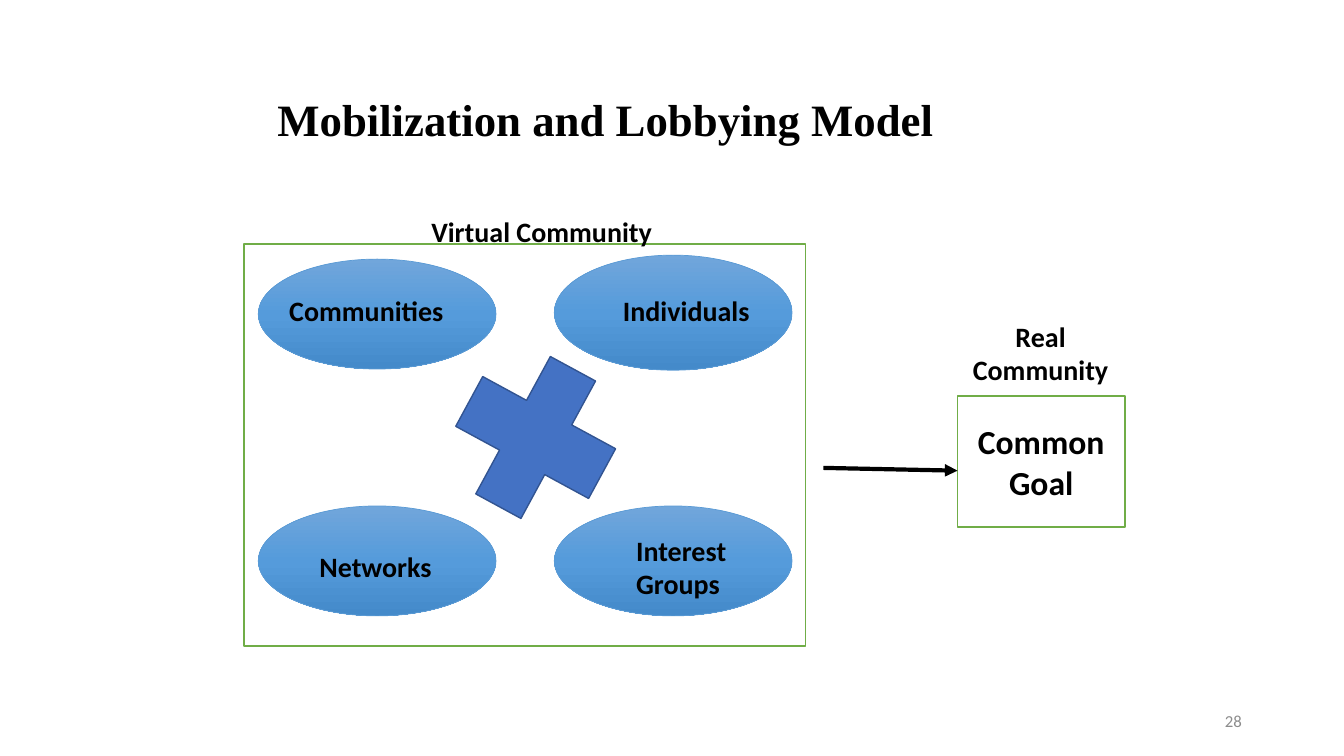
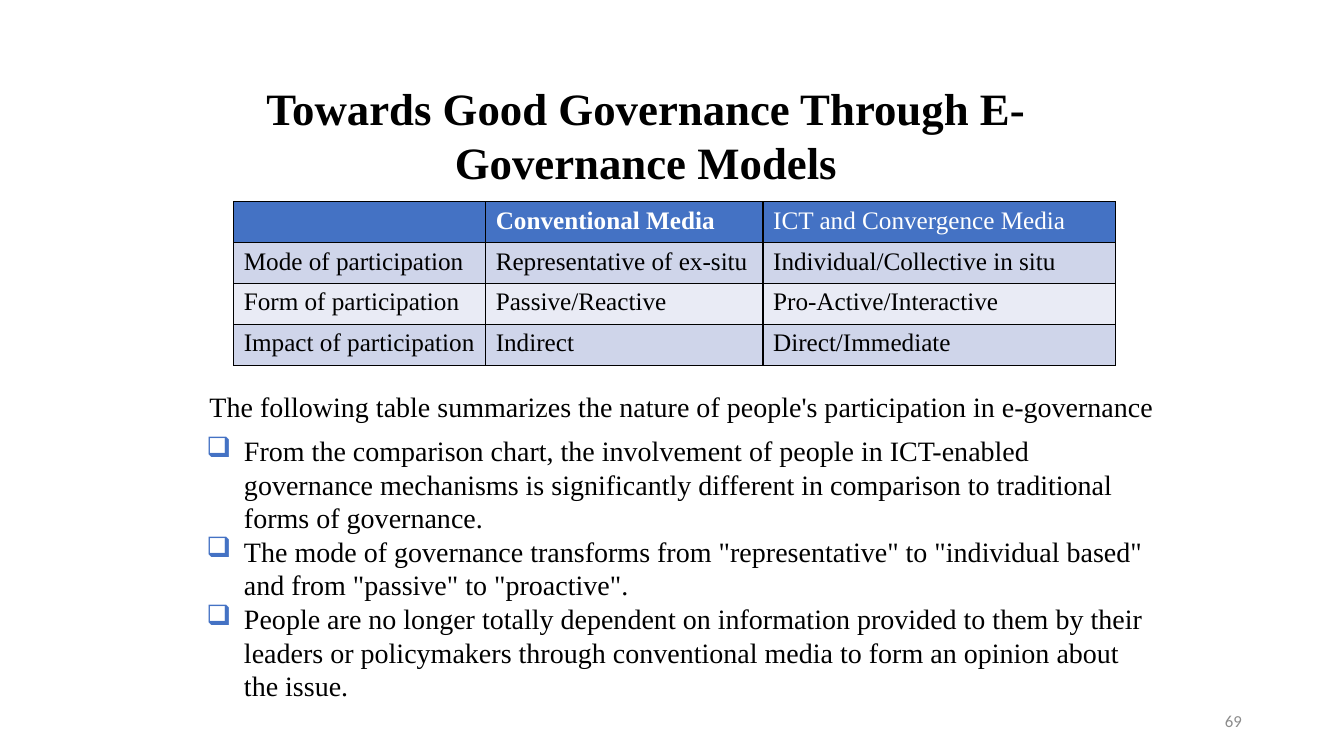
from copy import deepcopy

from lxml import etree
from pptx import Presentation
from pptx import util as u
from pptx.dml.color import RGBColor
from pptx.enum import shapes, text
from pptx.oxml import ns

COLORS = {
    "ink": "000000", "paper": "FFFFFF", "number": "8C8C8C",
    "accent": "4472C4", "accent_edge": "325491", "green": "70AD47",
    "oval_top": "71A6DB", "oval_mid": "559BDB", "oval_low": "448ACA",
    "oval_edge": "5B9BD5", "band_dark": "CFD5EA", "band_light": "E9EBF5",
}
SERIF, SANS = "Times New Roman", "Calibri"
CENTER, LEFT, RIGHT = text.PP_ALIGN.CENTER, text.PP_ALIGN.LEFT, text.PP_ALIGN.RIGHT
SHAPE = shapes.MSO_SHAPE


def rgb(name):
    return RGBColor.from_string(COLORS[name])


def lengths(*values):
    return [u.Cm(value) for value in values]


def child(parent, tag, **attributes):
    return etree.SubElement(parent, ns.qn(tag), attributes)


def style(paragraph, size, face=SANS, bold=False, color="ink", align=LEFT):
    paragraph.alignment = align
    font = paragraph.font
    font.name, font.size, font.bold = face, u.Pt(size), bold
    font.color.rgb = rgb(color)


def add_text(slide, box, words, size, anchor=text.MSO_ANCHOR.TOP, **look):
    frame = slide.shapes.add_textbox(*lengths(*box)).text_frame
    frame.word_wrap = True
    frame.vertical_anchor = anchor
    frame.text = words
    style(frame.paragraphs[0], size, **look)
    return frame


def add_label(slide, box, words, align=LEFT):
    add_text(slide, box, words, 20, bold=True, align=align)


def add_figure(slide, kind, box, fill, edge, weight=1):
    figure = slide.shapes.add_shape(kind, *lengths(*box))
    figure.shadow.inherit = False
    if fill:
        figure.fill.solid()
        figure.fill.fore_color.rgb = rgb(fill)
    figure.line.color.rgb = rgb(edge)
    figure.line.width = u.Pt(weight)
    return figure


def add_oval(slide, box):
    oval = add_figure(slide, SHAPE.OVAL, box, None, "oval_edge", 0.5)
    oval.fill.gradient()
    oval.fill.gradient_angle = 270
    stops = oval._element.spPr.find(".//" + ns.qn("a:gsLst"))
    stops.append(deepcopy(stops[0]))
    shades = ("oval_top", "oval_mid", "oval_low")
    for stop, shade, position in zip(oval.fill.gradient_stops, shades, (0, 0.5, 1)):
        stop.color.rgb = rgb(shade)
        stop.position = position


def add_arrow(slide, start, end):
    arrow = slide.shapes.add_connector(
        shapes.MSO_CONNECTOR.STRAIGHT, *lengths(*start, *end))
    arrow.line.color.rgb = rgb("ink")
    arrow.line.width = u.Pt(3)
    child(arrow.line._get_or_add_ln(), "a:tailEnd", type="triangle")
    child(arrow._element.spPr, "a:effectLst")


def new_slide(deck, title, title_box, number):
    slide = deck.slides.add_slide(deck.slide_layouts[6])
    add_text(slide, (23.93, 17.65, 7.62, 1.03), number, 12,
             anchor=text.MSO_ANCHOR.MIDDLE, color="number", align=RIGHT)
    heading = add_text(slide, title_box, title, 32, face=SERIF, bold=True, align=CENTER)
    return slide, heading.paragraphs[0]


def virtual_community(slide, left, top, width, height):
    add_figure(slide, SHAPE.RECTANGLE, (left, top, width, height), "paper", "green")
    members = [
        ("Communities", (0.36, 0.38, 2.77), (0.89, 1.12)),
        ("Interest Groups", (7.82, 6.6, 2.77), (9.63, 7.16)),
        ("Networks", (0.36, 6.6, 2.77), (1.65, 7.57)),
        ("Individuals", (7.82, 0.28, 2.9), (9.3, 1.12)),
    ]
    for _, (x, y, tall), _ in members:
        add_oval(slide, (left + x, top + y, 5.99, tall))
    cross = add_figure(slide, SHAPE.CROSS, (left + 5.38, top + 2.97, 3.94, 3.81),
                       "accent", "accent_edge")
    cross.adjustments[0] = 0.33
    cross.rotation = 298.5
    for name, _, (x, y) in members:
        label_width = 3.84 if " " in name else 4.5
        add_label(slide, (left + x, top + y, label_width, 1.12), name)
    add_label(slide, (left + 4.47, top - 0.86, 6.3, 1.12), "Virtual Community")


def real_community(slide, left, top, width, height):
    goal = add_figure(slide, SHAPE.RECTANGLE, (left, top, width, height), "paper", "green")
    goal.text_frame.word_wrap = True
    goal.text_frame.vertical_anchor = text.MSO_ANCHOR.MIDDLE
    goal.text_frame.text = "Common Goal"
    style(goal.text_frame.paragraphs[0], 24, bold=True, align=CENTER)
    add_arrow(slide, (left - 3.38, top + 1.81), (left, top + 1.88))
    add_label(slide, (left - 0.46, top - 2.06, 5.11, 1.96), "Real\vCommunity", CENTER)


def border(cell):
    properties = cell._tc.get_or_add_tcPr()
    for position, side in enumerate(("a:lnL", "a:lnR", "a:lnT", "a:lnB")):
        edge = etree.Element(ns.qn(side), w=str(u.Pt(1)))
        child(child(edge, "a:solidFill"), "a:srgbClr", val=COLORS["ink"])
        properties.insert(position, edge)


def participation_table(slide, left, top):
    rows = [
        ("", "Conventional Media", "ICT and Convergence Media"),
        ("Mode of participation", "Representative of ex-situ",
         "Individual/Collective in situ"),
        ("Form of participation", "Passive/Reactive", "Pro-Active/Interactive"),
        ("Impact of participation", "Indirect", "Direct/Immediate"),
    ]
    widths, row_height = (6.35, 6.99, 8.89), 1.03
    table = slide.shapes.add_table(
        len(rows), len(widths),
        *lengths(left, top, sum(widths), row_height * len(rows))).table
    for column, width in zip(table.columns, widths):
        column.width = u.Cm(width)
    fills = ("accent", "band_dark", "band_light", "band_dark")
    for r, (row, fill) in enumerate(zip(rows, fills)):
        for c, words in enumerate(row):
            cell = table.cell(r, c)
            cell.text = words
            style(cell.text_frame.paragraphs[0], 18, face=SERIF,
                  bold=(r == 0 and c == 1), color="ink" if r else "paper")
            cell.fill.solid()
            cell.fill.fore_color.rgb = rgb(fill)
            border(cell)


def findings(slide, left, top, width):
    add_text(slide, (left + 0.08, top, width + 0.53, 1.12),
             "The following table summarizes the nature of people's participation "
             "in e-governance", 20, face=SERIF)
    points = [
        "From the comparison chart, the involvement of people in ICT-enabled governance "
        "mechanisms is significantly different in comparison to traditional forms of "
        "governance.",
        'The mode of governance transforms from "representative" to "individual based" '
        'and from "passive" to "proactive".',
        "People are no longer totally dependent on information provided to them by their "
        "leaders or policymakers through conventional media to form an opinion about "
        "the issue.",
    ]
    frame = add_text(slide, (left, top + 1.12, width, 7.09), "\n".join(points), 20)
    hanging = u.Cm(0.95)
    for paragraph in frame.paragraphs:
        properties = paragraph._p.get_or_add_pPr()
        properties.set("marL", str(hanging))
        properties.set("indent", str(-hanging))
        for old in list(properties):
            properties.remove(old)
        child(child(properties, "a:buClr"), "a:srgbClr", val=COLORS["accent"])
        child(properties, "a:buChar", char="❑")
        style(paragraph, 20, face=SERIF)


def lobbying_slide(deck):
    slide, heading = new_slide(deck, "Mobilization and Lobbying Model",
                               (4.85, 2.51, 20.83, 1.32), "28")
    heading.line_spacing = u.Pt(29.6)
    real_community(slide, 24.13, 9.98, 4.22, 3.3)
    virtual_community(slide, 6.15, 6.15, 14.15, 10.13)


def governance_slide(deck):
    slide, _ = new_slide(deck, "Towards Good Governance Through E-Governance Models",
                         (4.95, 1.91, 22.66, 3), "69")
    participation_table(slide, 5.89, 5.08)
    findings(slide, 4.95, 9.68, 24.16)


def main():
    deck = Presentation()
    deck.slide_width, deck.slide_height = lengths(33.87, 19.05)
    lobbying_slide(deck)
    governance_slide(deck)
    deck.save("out.pptx")


if __name__ == "__main__":
    main()
